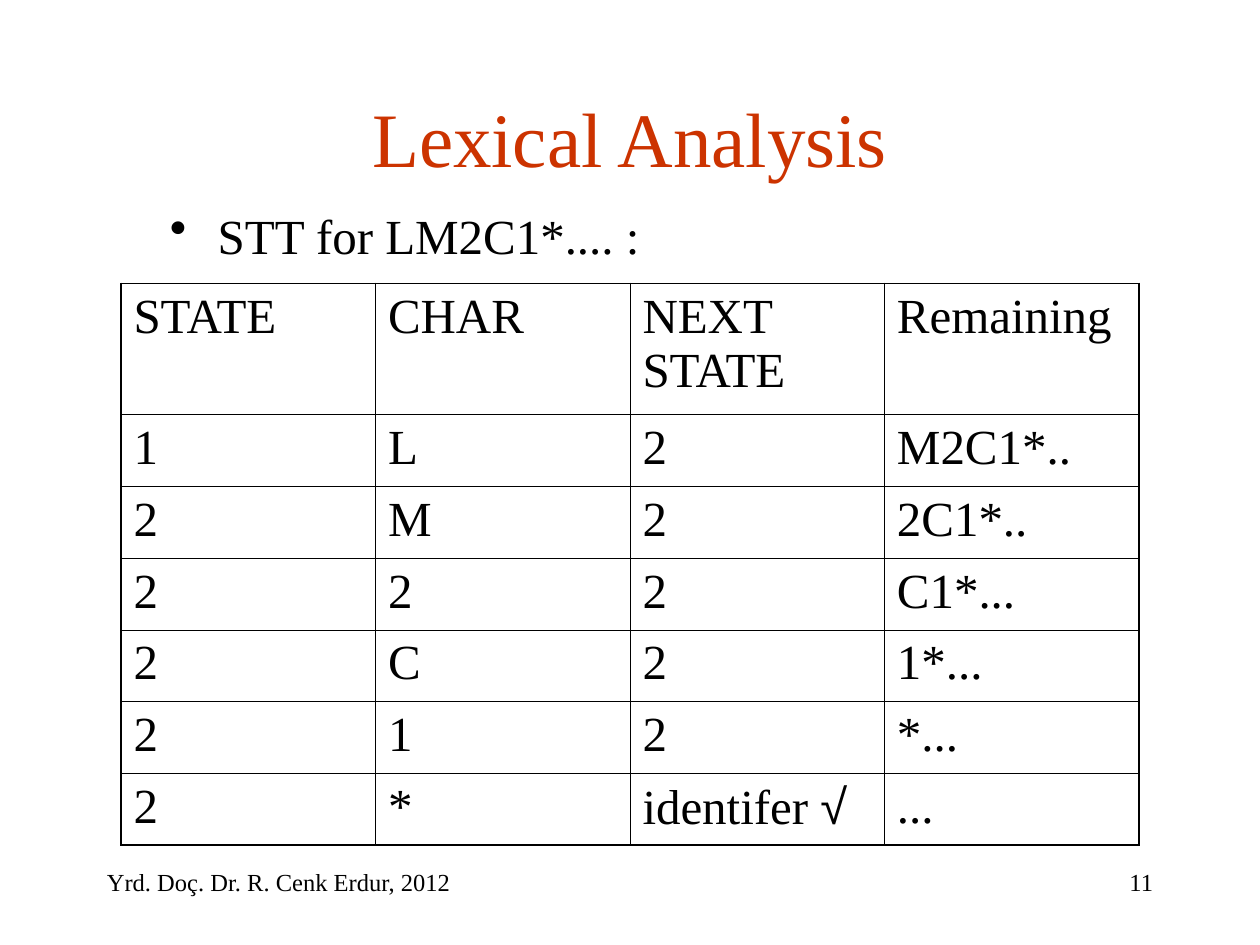
import pptx
import pptx.util
import pptx.dml.color
import pptx.enum.text
import pptx.oxml.ns
import lxml.etree

Inches = pptx.util.Inches
Pt = pptx.util.Pt
ALIGN = pptx.enum.text.PP_ALIGN
ANCHOR = pptx.enum.text.MSO_ANCHOR

# Content
TITLE = "Lexical Analysis"
BULLET = "STT for LM2C1*.... :"
AUTHOR = "Yrd. Doç. Dr. R. Cenk Erdur, 2012"
PAGE = "11"
TRANSITIONS = [
    ("STATE", "CHAR", "NEXT STATE", "Remaining"),
    ("1", "L", "2", "M2C1*.."),
    ("2", "M", "2", "2C1*.."),
    ("2", "2", "2", "C1*..."),
    ("2", "C", "2", "1*..."),
    ("2", "1", "2", "*..."),
    ("2", "*", "identifer √", "..."),
]

THEME = {
    "font": "Times New Roman", "symbol_font": "Arial",
    "text": "000000", "title": "CC3300", "paper": "FFFFFF",
    "title_size": 44, "body_size": 28, "footer_size": 14,
    "outer_line": 1.08, "inner_line": 0.45,
}
TABLE_LEFT, TABLE_TOP = 0.96, 2.25
COLUMN_WIDTH, HEADER_HEIGHT, ROW_HEIGHT = 2.02, 1.04, 0.57


def rgb(value):
    return pptx.dml.color.RGBColor.from_string(value)


def add_element(parent, tag, **attributes):
    return lxml.etree.SubElement(parent, pptx.oxml.ns.qn(tag), attributes)


def write(frame, text, size=THEME["body_size"], color=THEME["text"],
          align=ALIGN.LEFT, anchor=ANCHOR.TOP, bullet=None, spacing=None):
    frame.word_wrap = True
    frame.vertical_anchor = anchor
    paragraph = frame.paragraphs[0]
    paragraph.alignment = align
    if spacing:
        paragraph.line_spacing = spacing
    if bullet:
        properties = paragraph._p.get_or_add_pPr()
        properties.set("marL", str(Inches(0.38)))
        properties.set("indent", str(-Inches(0.38)))
        add_element(properties, "a:buChar", char=bullet)
    # The root sign takes its own font
    words, root, _ = text.partition("√")
    for part, font in ((words, THEME["font"]), (root, THEME["symbol_font"])):
        if part:
            run = paragraph.add_run()
            run.text = part
            run.font.name = font
            run.font.size = Pt(size)
            run.font.color.rgb = rgb(color)


def add_text(slide, box, text, **style):
    frame = slide.shapes.add_textbox(*map(Inches, box)).text_frame
    write(frame, text, **style)


def set_borders(cell, outer_sides):
    properties = cell._tc.get_or_add_tcPr()
    for index, side in enumerate(("L", "R", "T", "B")):
        width = THEME["outer_line" if side in outer_sides else "inner_line"]
        line = lxml.etree.Element(pptx.oxml.ns.qn(f"a:ln{side}"), w=str(Pt(width)))
        add_element(add_element(line, "a:solidFill"), "a:srgbClr", val=THEME["text"])
        properties.insert(index, line)


def add_transitions(slide):
    rows, columns = len(TRANSITIONS), len(TRANSITIONS[0])
    heights = [HEADER_HEIGHT] + [ROW_HEIGHT] * (rows - 1)
    table = slide.shapes.add_table(
        rows, columns, Inches(TABLE_LEFT), Inches(TABLE_TOP),
        Inches(COLUMN_WIDTH * columns), Inches(sum(heights))).table
    table.first_row = table.horz_banding = False
    for column in table.columns:
        column.width = Inches(COLUMN_WIDTH)
    for r, values in enumerate(TRANSITIONS):
        table.rows[r].height = Inches(heights[r])
        for c, value in enumerate(values):
            cell = table.cell(r, c)
            cell.margin_left = cell.margin_right = Inches(0.1)
            cell.margin_top = cell.margin_bottom = Inches(0.05)
            cell.fill.background()
            write(cell.text_frame, value)
            edges = {"L": c == 0, "R": c == columns - 1,
                     "T": r == 0, "B": r == rows - 1}
            set_borders(cell, [side for side, outer in edges.items() if outer])


def main():
    deck = pptx.Presentation()
    deck.slide_width, deck.slide_height = Inches(10), Inches(7.5)
    slide = deck.slides.add_slide(deck.slide_layouts[6])
    slide.background.fill.solid()
    slide.background.fill.fore_color.rgb = rgb(THEME["paper"])

    # Footer
    add_text(slide, (0.75, 6.83, 5.83, 0.5), AUTHOR, size=THEME["footer_size"])
    add_text(slide, (7.17, 6.83, 2.08, 0.5), PAGE, size=THEME["footer_size"],
             align=ALIGN.RIGHT)
    # Title and lead-in
    add_text(slide, (0.75, 0.67, 8.5, 0.83), TITLE, size=THEME["title_size"],
             color=THEME["title"], align=ALIGN.CENTER, anchor=ANCHOR.MIDDLE)
    add_text(slide, (1.25, 1.67, 8.5, 0.5), BULLET, bullet="•", spacing=0.8)
    # State transition table
    add_transitions(slide)
    deck.save("out.pptx")


if __name__ == "__main__":
    main()
